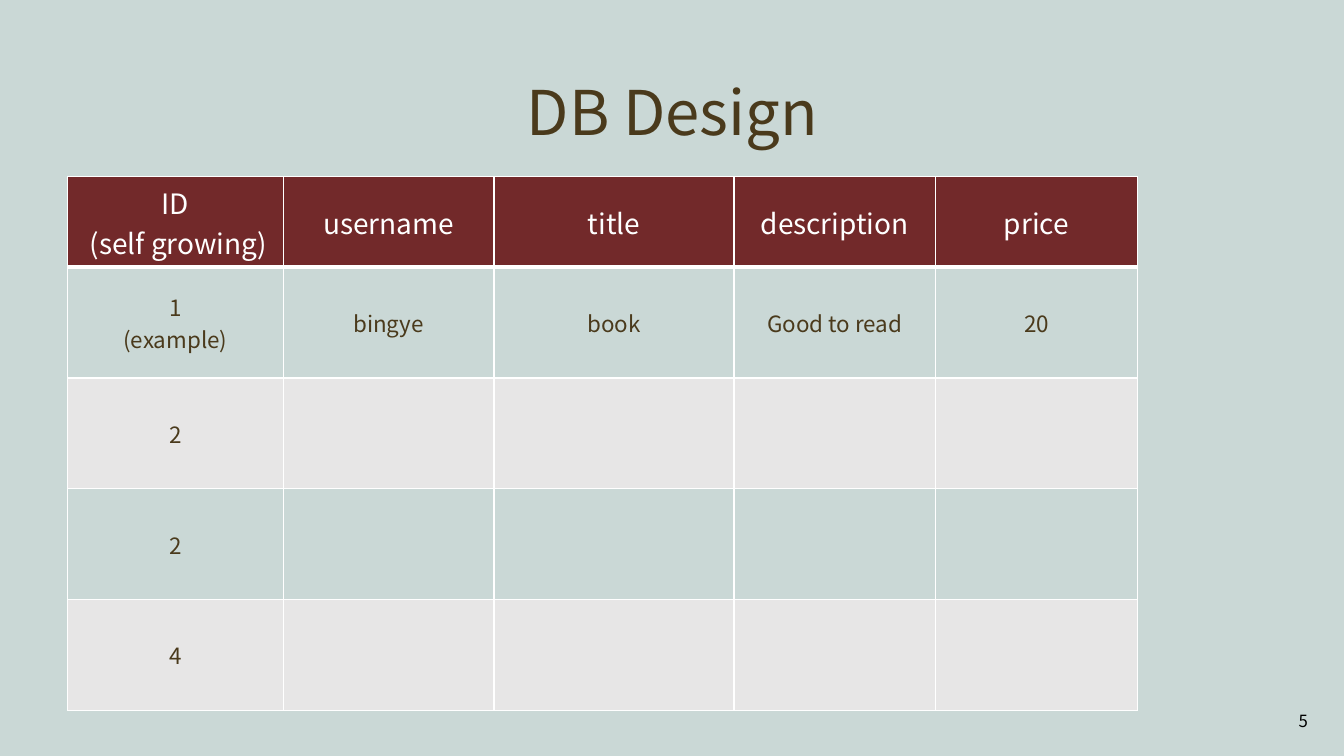
from dataclasses import dataclass

from lxml.etree import SubElement
from pptx import Presentation
from pptx.dml.color import RGBColor
from pptx.enum.text import MSO_ANCHOR as Anchor, PP_ALIGN as Align
from pptx.oxml.ns import qn
from pptx.util import Inches, Pt


@dataclass(frozen=True)
class Theme:
    font: str = "Noto Sans CJK SC"
    background: str = "CAD8D6"
    text: str = "4A3A1C"
    header: str = "72292A"
    header_text: str = "FFFFFF"
    band: str = "E7E6E6"
    border: str = "FFFFFF"
    number: str = "000000"
    title_size: int = 44
    header_size: int = 20
    body_size: int = 16
    number_size: int = 12
    border_width: int = 1
    header_rule: int = 3


THEME = Theme()
COLUMN_WIDTHS = [2.14, 2.09, 2.38, 2, 2]
HEADER_HEIGHT, ROW_HEIGHT = 0.9, 1.1
ROWS = [
    ["ID\n (self growing)", "username", "title", "description", "price"],
    ["1\n(example)", "bingye", "book", "Good to read", "20"],
    ["2"],
    ["2"],
    ["4"],
]


def write(tf, text, size, color, align=Align.CENTER, spacing=None):
    tf.text = text
    for p in tf.paragraphs:
        p.alignment = align
        p.line_spacing = spacing
        p.font.name = THEME.font
        p.font.size = Pt(size)
        p.font.bold = False
        p.font.color.rgb = RGBColor.from_string(color)


def add_label(slide, box, text, size, color, align, spacing=None):
    tf = slide.shapes.add_textbox(*map(Inches, box)).text_frame
    tf.word_wrap = True
    tf.vertical_anchor = Anchor.MIDDLE
    write(tf, text, size, color, align, spacing)


def set_borders(cell, top, bottom):
    """Draw the four cell borders; top and bottom are widths in points."""
    tc_pr = cell._tc.get_or_add_tcPr()
    side = THEME.border_width
    for tag, width in (("a:lnL", side), ("a:lnR", side), ("a:lnT", top), ("a:lnB", bottom)):
        ln = SubElement(tc_pr, qn(tag), w=str(Pt(width)))
        SubElement(SubElement(ln, qn("a:solidFill")), qn("a:srgbClr"), val=THEME.border)


def add_design_table(slide, left, top):
    width = sum(COLUMN_WIDTHS)
    height = HEADER_HEIGHT + ROW_HEIGHT * (len(ROWS) - 1)
    table = slide.shapes.add_table(
        len(ROWS), len(COLUMN_WIDTHS), *map(Inches, (left, top, width, height))
    ).table
    for column, column_width in zip(table.columns, COLUMN_WIDTHS):
        column.width = Inches(column_width)

    for i, (row, texts) in enumerate(zip(table.rows, ROWS)):
        is_header = i == 0
        row.height = Inches(HEADER_HEIGHT if is_header else ROW_HEIGHT)
        if is_header:
            fill, color, size = THEME.header, THEME.header_text, THEME.header_size
        else:
            fill = THEME.background if i % 2 else THEME.band
            color, size = THEME.text, THEME.body_size
        above = THEME.header_rule if i == 1 else THEME.border_width
        below = THEME.header_rule if is_header else THEME.border_width
        for j, cell in enumerate(row.cells):
            set_borders(cell, above, below)
            cell.fill.solid()
            cell.fill.fore_color.rgb = RGBColor.from_string(fill)
            cell.vertical_anchor = Anchor.MIDDLE
            write(cell.text_frame, texts[j] if j < len(texts) else "", size, color)


def add_db_design_slide(prs):
    slide = prs.slides.add_slide(prs.slide_layouts[6])
    slide.background.fill.solid()
    slide.background.fill.fore_color.rgb = RGBColor.from_string(THEME.background)
    add_label(slide, (0.92, 0.42, 11.5, 1.45), "DB Design",
              THEME.title_size, THEME.text, Align.CENTER, 0.9)
    add_design_table(slide, 0.67, 1.75)
    add_label(slide, (10.07, 6.95, 3, 0.4), "5",
              THEME.number_size, THEME.number, Align.RIGHT)


def main():
    prs = Presentation()
    prs.slide_width, prs.slide_height = Inches(13.33), Inches(7.5)
    add_db_design_slide(prs)
    prs.save("out.pptx")


if __name__ == "__main__":
    main()
